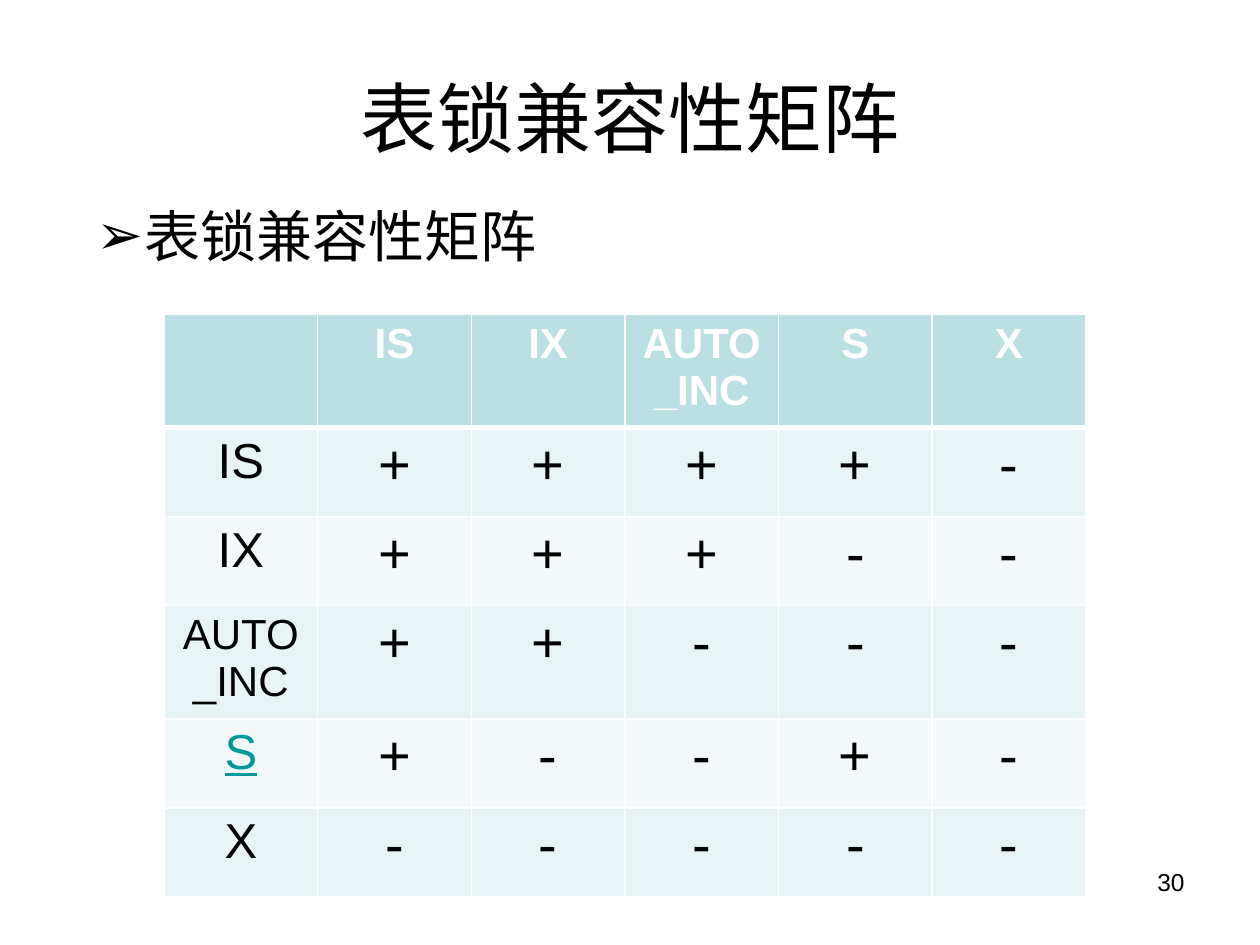
from dataclasses import dataclass

import lxml.etree
import pptx
import pptx.dml.color
import pptx.enum.text
import pptx.oxml
import pptx.oxml.ns
import pptx.util

SCALE = 914400 / 126  # EMU in one px
ALIGN = pptx.enum.text.PP_ALIGN
ANCHOR = pptx.enum.text.MSO_ANCHOR


@dataclass(frozen=True)
class Theme:
    sans: str = "Arial"
    han: str = "Noto Sans CJK SC"
    ink: str = "000000"
    white: str = "FFFFFF"
    link: str = "009999"
    head: str = "BBE0E3"
    bands: tuple = ("E7F3F4", "F3F9FA")
    title: int = 44
    body: int = 32
    label: int = 28
    small: int = 24
    page: int = 14


@dataclass(frozen=True)
class Label:
    text: str
    left: int
    top: int
    width: int
    height: int
    font: str
    size: int
    align: ALIGN
    anchor: ANCHOR = ANCHOR.TOP
    bullet: str = ""


THEME = Theme()
TITLE = "表锁兼容性矩阵"
LABELS = (
    Label(TITLE, 63, 38, 1134, 157, THEME.han, THEME.title,
          ALIGN.CENTER, ANCHOR.MIDDLE),
    Label(TITLE, 84, 195, 1134, 726, THEME.han, THEME.body,
          ALIGN.LEFT, bullet="➢"),
    Label("30", 903, 861, 294, 66, THEME.sans, THEME.page, ALIGN.RIGHT),
)

# Lock modes and, row by row, which pairs are compatible
MODES = ("IS", "IX", "AUTO_INC", "S", "X")
MATRIX = ("++++-", "+++--", "++---", "+--+-", "-----")
LONG, LINKED = "AUTO_INC", "S"
LEFT, TOP, WIDTH = 164, 314, 922
HEIGHTS = (105, 89, 89, 107, 89, 89)


def emu(px: int) -> int:
    return round(px * SCALE)


def rgb(color: str) -> pptx.dml.color.RGBColor:
    return pptx.dml.color.RGBColor.from_string(color)


def style(para, font: str, size: int, color: str, align: ALIGN,
          bold: bool = False, under: bool = False) -> None:
    para.alignment = align
    for run in para.runs:
        face = run.font
        face.name, face.size = font, pptx.util.Pt(size)
        face.bold, face.underline = bold, under
        face.color.rgb = rgb(color)
        asian = lxml.etree.SubElement(run._r.get_or_add_rPr(),
                                      pptx.oxml.ns.qn("a:ea"))
        asian.set("typeface", font)


def mark(para, sign: str, indent: int) -> None:
    """Give a paragraph a bullet with a hanging indent."""
    para.space_before = pptx.util.Pt(6.4)
    props = para._p.get_or_add_pPr()
    props.set("marL", str(emu(indent)))
    props.set("indent", str(-emu(indent)))
    for tag, key, value in (("a:buFont", "typeface", THEME.sans),
                            ("a:buChar", "char", sign)):
        node = lxml.etree.SubElement(props, pptx.oxml.ns.qn(tag))
        node.set(key, value)


def write(slide, label: Label) -> None:
    box = slide.shapes.add_textbox(*map(emu, (
        label.left, label.top, label.width, label.height)))
    frame = box.text_frame
    frame.word_wrap = True
    frame.vertical_anchor = label.anchor
    frame.text = label.text
    para = frame.paragraphs[0]
    style(para, label.font, label.size, THEME.ink, label.align)
    if label.bullet:
        mark(para, label.bullet, 48)


def edge(cell, side: str, points: int) -> None:
    space = pptx.oxml.ns.nsdecls("a")
    line = pptx.oxml.parse_xml(
        f'<a:ln{side} {space} w="{pptx.util.Pt(points)}"><a:solidFill>'
        f'<a:srgbClr val="{THEME.white}"/></a:solidFill></a:ln{side}>')
    cell._tc.get_or_add_tcPr().append(line)


def fill(cell, text: str, row: int, col: int) -> None:
    head = row == 0
    for side in "LRTB":
        thick = (row, side) in ((0, "B"), (1, "T"))
        edge(cell, side, 3 if thick else 1)
    cell.fill.solid()
    cell.fill.fore_color.rgb = rgb(
        THEME.head if head else THEME.bands[(row - 1) % 2])
    linked = col == 0 and text == LINKED
    if head or text == LONG:
        size = THEME.small
    else:
        size = THEME.body if col else THEME.label
    color = THEME.white if head else THEME.link if linked else THEME.ink
    cell.text_frame.text = text
    style(cell.text_frame.paragraphs[0], THEME.sans, size, color,
          ALIGN.CENTER, bold=head, under=linked)


def grid(slide) -> None:
    rows = [("", *MODES)]
    rows += [(mode, *signs) for mode, signs in zip(MODES, MATRIX)]
    table = slide.shapes.add_table(
        len(rows), len(rows[0]),
        *map(emu, (LEFT, TOP, WIDTH, sum(HEIGHTS)))).table
    for row, texts in enumerate(rows):
        table.rows[row].height = emu(HEIGHTS[row])
        for col, text in enumerate(texts):
            fill(table.cell(row, col), text, row, col)


def main() -> None:
    deck = pptx.Presentation()
    deck.slide_width, deck.slide_height = emu(1260), emu(945)
    slide = deck.slides.add_slide(deck.slide_layouts[6])

    # Title, bullet line and page number
    for label in LABELS:
        write(slide, label)

    # Compatibility matrix
    grid(slide)
    deck.save("out.pptx")


if __name__ == "__main__":
    main()
